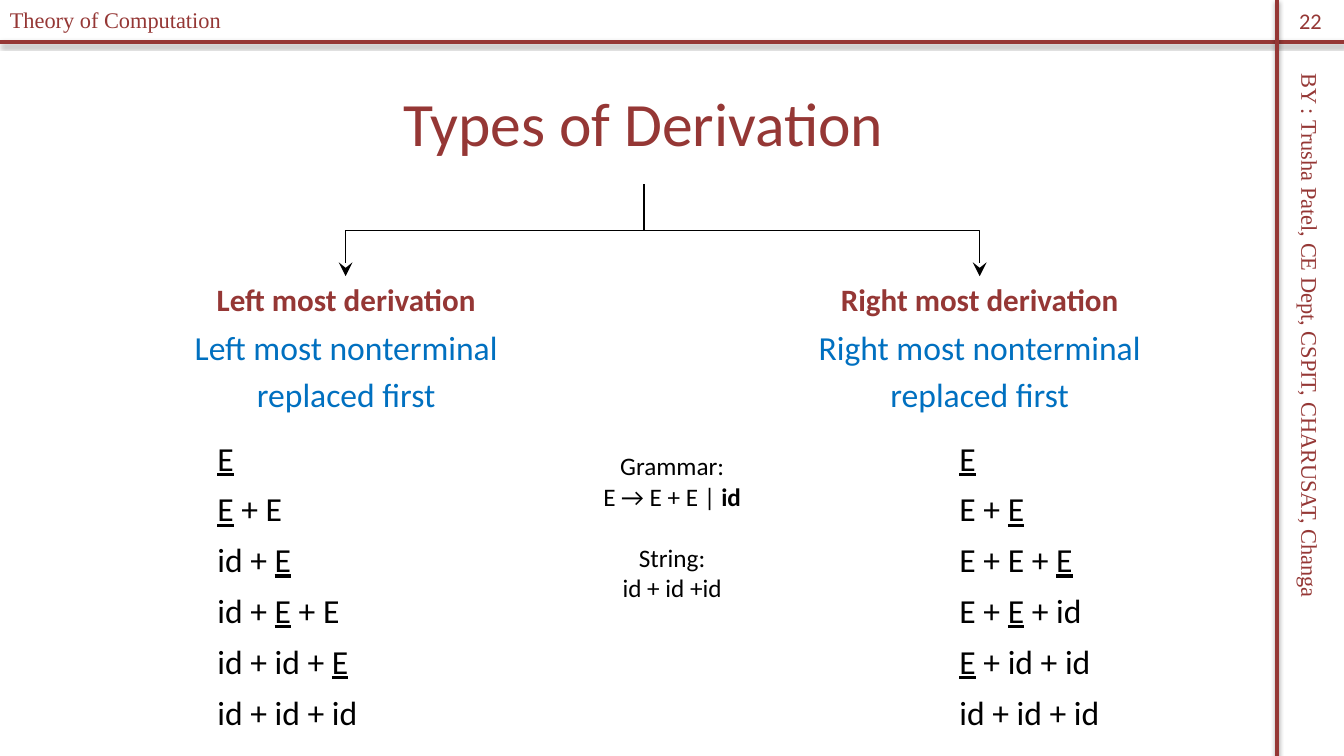
from lxml import etree
from pptx import Presentation
from pptx import util as u
from pptx.dml.color import RGBColor
from pptx.enum import shapes, text
from pptx.oxml import parse_xml
from pptx.oxml.ns import nsdecls, qn

MAROON = RGBColor(0x95, 0x37, 0x35)
BLUE = RGBColor(0x00, 0x70, 0xC0)
BLACK = RGBColor(0x00, 0x00, 0x00)
CENTER = text.PP_ALIGN.CENTER
LEFT = text.PP_ALIGN.LEFT
MIDDLE = text.MSO_ANCHOR.MIDDLE
TOP = text.MSO_ANCHOR.TOP
SHADOW = (
    '<a:outerShdw blurRad="40000" dist="23000" dir="5400000" rotWithShape="0">'
    '<a:srgbClr val="000000"><a:alpha val="35000"/></a:srgbClr></a:outerShdw>'
)


def write(box, lines, size, color, align=CENTER, anchor=TOP, font="Calibri", mark="underline"):
    frame = box.text_frame
    frame.word_wrap = True
    frame.auto_size = text.MSO_AUTO_SIZE.NONE
    frame.vertical_anchor = anchor
    frame.text = "\n".join(line.replace("_", "") for line in lines)
    for para, line in zip(frame.paragraphs, lines):
        para.alignment = align
        para.text = ""
        for index, part in enumerate(line.split("_")):
            if part:
                span = para.add_run()
                span.text = part
                span.font.name = font
                span.font.size = u.Pt(size)
                span.font.color.rgb = color
                if index % 2:
                    setattr(span.font, mark, True)
    return frame


def draw_line(kind, start, end, color, width, effect=""):
    line = page.shapes.add_connector(kind, *[u.Cm(value) for value in start + end])
    line.line.color.rgb = color
    line.line.width = u.Pt(width)
    properties = line._element.spPr
    properties.append(parse_xml(f"<a:effectLst {nsdecls('a')}>{effect}</a:effectLst>"))
    return properties


deck = Presentation()
deck.slide_width = u.Cm(33.87)
deck.slide_height = u.Cm(19.05)
page = deck.slides.add_slide(deck.slide_layouts[4])
holders = page.placeholders

for start, end in [((0, 1.05), (33.87, 1.05)), ((32.18, 0), (32.18, 19.05))]:
    draw_line(shapes.MSO_CONNECTOR.STRAIGHT, start, end, MAROON, 3, SHADOW)

for label, left, top, width, turn in [
    ("BY : Trusha Patel, CE Dept, CSPIT, CHARUSAT, Changa", 24.94, 9.2, 16.15, 90),
    ("Theory of Computation", 0, 0.03, 8.36, 0),
]:
    box = page.shapes.add_textbox(u.Cm(left), u.Cm(top), u.Cm(width), u.Cm(0.94))
    box.rotation = turn
    frame = write(box, [label], 16, MAROON, LEFT, font="Times New Roman")
    frame.word_wrap = False

number = page.shapes.add_textbox(u.Cm(32.18), u.Cm(0), u.Cm(1.69), u.Cm(1.02))
write(number, ["22"], 16, MAROON, anchor=MIDDLE)

title = page.shapes.title
title.left, title.top, title.width, title.height = u.Cm(0.56), u.Cm(1.47), u.Cm(31.32), u.Cm(3.18)
write(title, ["Types of Derivation"], 44, MAROON, anchor=MIDDLE)

stem_x, stem_top, arrow_tip = 16.23, 4.65, 6.96
drop = arrow_tip - stem_top
middle_y = (stem_top + arrow_tip) / 2
row_top, row_step = 10.9, 1.28

for side, heading_index, left, width, arrow_x, turn, rows_left, steps in [
    ("Left", 1, 2.54, 12.37, 8.71, 90, 5.23,
     ["_E_", "_E_ + E", "id + _E_", "id + _E_ + E", "id + id + _E_", "id + id + id"]),
    ("Right", 3, 18.62, 12.14, 24.69, 270, 23.93,
     ["_E_", "E + _E_", "E + E + _E_", "E + _E_ + id", "_E_ + id + id", "id + id + id"]),
]:
    heading, detail = holders[heading_index], holders[heading_index + 1]
    for box, top, height in [(heading, 6.96, 1.14), (detail, 8.1, 2.82)]:
        box.left, box.top, box.width, box.height = u.Cm(left), u.Cm(top), u.Cm(width), u.Cm(height)
    write(heading, [f"_{side} most derivation_"], 22.2, MAROON, anchor=MIDDLE, mark="bold")
    frame = write(detail, [f"{side} most nonterminal", "replaced first"], 24, BLUE)
    for para in frame.paragraphs:
        settings = para._p.get_or_add_pPr()
        settings.set("marL", "0")
        settings.set("indent", "0")
        etree.SubElement(settings, qn("a:buNone"))

    middle_x = (stem_x + arrow_x) / 2
    reach = abs(arrow_x - stem_x) / 2
    across = drop / 2 if turn == 90 else -drop / 2
    properties = draw_line(
        shapes.MSO_CONNECTOR.ELBOW,
        (middle_x - across, middle_y - reach),
        (middle_x + across, middle_y + reach),
        BLACK, 0.75,
    )
    properties.find(qn("a:xfrm")).set("rot", str(turn * 60000))
    etree.SubElement(properties.find(qn("a:ln")), qn("a:tailEnd"), type="stealth", w="lg", len="lg")

    for row, step in enumerate(steps):
        box = page.shapes.add_textbox(
            u.Cm(rows_left), u.Cm(row_top + row * row_step), u.Cm(4.52), u.Cm(1.27))
        write(box, [step], 24, BLACK, LEFT)

grammar = page.shapes.add_textbox(u.Cm(14.68), u.Cm(11.23), u.Cm(4.52), u.Cm(4.11))
frame = write(grammar, ["Grammar:", "E → E + E | _id_", "String:", "id + id +id"], 18, BLACK, mark="bold")
frame.paragraphs[2].space_before = u.Pt(22)

deck.save("out.pptx")
